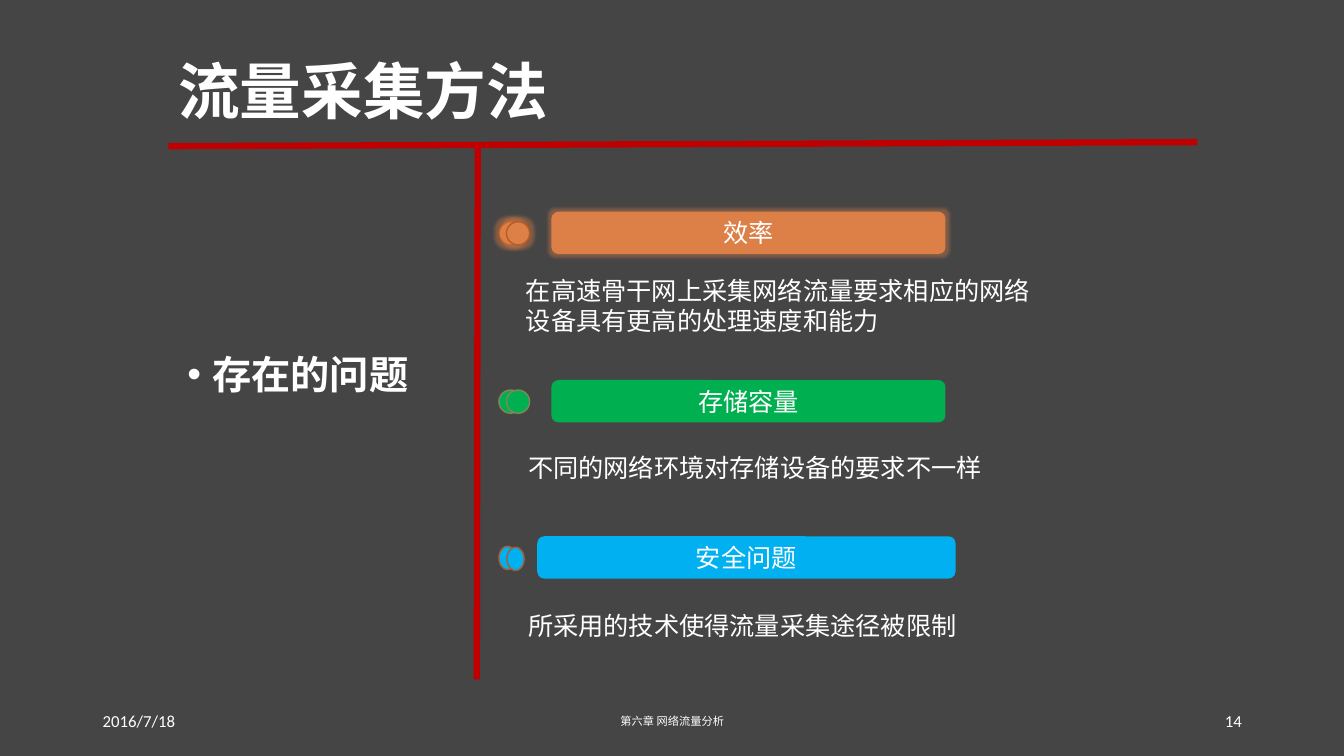
from dataclasses import dataclass

import lxml.etree
import pptx
import pptx.dml.color
import pptx.enum.shapes
import pptx.enum.text
import pptx.oxml.ns
import pptx.util

Pt = pptx.util.Pt
RGBColor = pptx.dml.color.RGBColor
Align = pptx.enum.text.PP_ALIGN
Anchor = pptx.enum.text.MSO_ANCHOR
Shape = pptx.enum.shapes.MSO_SHAPE
qn = pptx.oxml.ns.qn

BACKGROUND = RGBColor(0x45, 0x45, 0x45)
WHITE = RGBColor(0xFF, 0xFF, 0xFF)
RED = RGBColor(0xC0, 0x00, 0x00)
ORANGE = RGBColor(0xDD, 0x80, 0x47)
ORANGE_EDGE = RGBColor(0xB9, 0x5B, 0x22)
GREEN = RGBColor(0x00, 0xB0, 0x50)
GREEN_EDGE = RGBColor(0x81, 0x87, 0x5A)
BLUE = RGBColor(0x00, 0xB0, 0xF0)
BLUE_EDGE = RGBColor(0xA3, 0x5F, 0x35)

CHINESE = "Noto Sans CJK SC"
LATIN = "Calibri"
BAR_HEIGHT = 30.24
DOT_LEFT = 356.4
DOT_HEIGHT = 16.56
DOT_DROP = 7.2


@dataclass(frozen=True)
class Box:
    left: float
    top: float
    width: float
    height: float

    def lengths(self) -> tuple:
        return Pt(self.left), Pt(self.top), Pt(self.width), Pt(self.height)


@dataclass(frozen=True)
class Problem:
    heading: str
    detail: str
    bar_left: float
    bar_top: float
    bar_width: float
    dot_width: float
    dot_shift: tuple[float, float]
    fill: RGBColor
    edge: RGBColor
    detail_box: Box
    glows: bool = False


@dataclass(frozen=True)
class FooterPart:
    text: str
    box: Box
    size: float
    font: str
    align: Align


PROBLEMS = [
    Problem("效率", "在高速骨干网上采集网络流量要求相应的网络设备具有更高的处理速度和能力",
            393.84, 151.2, 281.52, 16.56, (5.4, 0), ORANGE, ORANGE_EDGE,
            Box(368.64, 192.96, 376.56, 51.12), glows=True),
    Problem("存储容量", "不同的网络环境对存储设备的要求不一样",
            393.84, 271.44, 281.52, 16.56, (5.4, 0), GREEN, GREEN_EDGE,
            Box(370.08, 319.68, 555.12, 28.8)),
    Problem("安全问题", "所采用的技术使得流量采集途径被限制",
            383.76, 383.04, 298.8, 12.24, (5.76, 0.72), BLUE, BLUE_EDGE,
            Box(370.08, 432.72, 359.28, 28.8)),
]

FOOTER = [
    FooterPart("2016/7/18", Box(66.24, 500.4, 216, 28.8), 12, LATIN, Align.LEFT),
    FooterPart("第六章 网络流量分析", Box(318.24, 500.4, 324, 28.8), 8, CHINESE, Align.CENTER),
    FooterPart("14", Box(678.24, 500.4, 216, 28.8), 12, LATIN, Align.RIGHT),
]


def write(frame, text: str, size: float, font: str = CHINESE, bold: bool = False,
          align: Align = Align.LEFT, anchor: Anchor = Anchor.MIDDLE):
    frame.text = text
    frame.word_wrap = True
    frame.vertical_anchor = anchor
    paragraph = frame.paragraphs[0]
    paragraph.alignment = align
    for run in paragraph.runs:
        run.font.size = Pt(size)
        run.font.bold = bold
        run.font.color.rgb = WHITE
        run.font.name = font
        east_asian = lxml.etree.SubElement(run._r.get_or_add_rPr(), qn("a:ea"))
        east_asian.set("typeface", font)
    return paragraph


def add_rule(slide, start: tuple[float, float], end: tuple[float, float]) -> None:
    rule = slide.shapes.add_connector(
        pptx.enum.shapes.MSO_CONNECTOR.STRAIGHT, *map(Pt, start + end))
    rule.line.color.rgb = RED
    rule.line.width = Pt(4.5)
    lxml.etree.SubElement(rule._element.spPr, qn("a:effectLst"))


def add_glow(shape, color: RGBColor) -> None:
    effects = shape._element.spPr.find(qn("a:effectLst"))
    glow = lxml.etree.SubElement(effects, qn("a:glow"), rad=str(Pt(5)))
    tint = lxml.etree.SubElement(glow, qn("a:srgbClr"), val=str(color))
    lxml.etree.SubElement(tint, qn("a:alpha"), val="40000")


def add_filled(group, preset: Shape, box: Box, problem: Problem):
    shape = group.shapes.add_shape(preset, *box.lengths())
    shape.shadow.inherit = False
    shape.fill.solid()
    shape.fill.fore_color.rgb = problem.fill
    if problem.glows:
        add_glow(shape, problem.fill)
    return shape


def add_problem(slide, problem: Problem) -> None:
    group = slide.shapes.add_group_shape()
    bar = add_filled(group, Shape.ROUNDED_RECTANGLE,
                     Box(problem.bar_left, problem.bar_top, problem.bar_width, BAR_HEIGHT),
                     problem)
    bar.line.fill.background()
    write(bar.text_frame, problem.heading, 18, align=Align.CENTER)
    for shift_x, shift_y in ((0, 0), problem.dot_shift):
        dot = add_filled(group, Shape.OVAL,
                         Box(DOT_LEFT + shift_x, problem.bar_top + DOT_DROP + shift_y,
                             problem.dot_width, DOT_HEIGHT), problem)
        dot.line.color.rgb = problem.edge
        dot.line.width = Pt(1)


def add_detail(slide, problem: Problem) -> None:
    detail = slide.shapes.add_textbox(*problem.detail_box.lengths()).text_frame
    write(detail, problem.detail, 18, anchor=Anchor.TOP)
    detail.auto_size = pptx.enum.text.MSO_AUTO_SIZE.SHAPE_TO_FIT_TEXT


def main() -> None:
    deck = pptx.Presentation()
    deck.slide_width, deck.slide_height = Pt(960), Pt(540)
    slide = deck.slides.add_slide(deck.slide_layouts[6])
    slide.background.fill.solid()
    slide.background.fill.fore_color.rgb = BACKGROUND

    # Red dividing rules
    add_rule(slide, (120.24, 104.4), (855.36, 101.52))
    add_rule(slide, (341.28, 104.4), (340.56, 485.28))

    # Title and topic
    title = slide.shapes.add_textbox(*Box(120.24, 15.12, 735.12, 104.4).lengths())
    write(title.text_frame, "流量采集方法", 44, bold=True).line_spacing = 0.9

    topic_box = slide.shapes.add_textbox(*Box(126.72, 229.68, 205.2, 365.04).lengths())
    topic = write(topic_box.text_frame, "存在的问题", 28, bold=True, anchor=Anchor.TOP)
    topic.line_spacing = 1.5
    topic.space_before = Pt(10)
    indents = topic._p.get_or_add_pPr()
    indents.set("marL", str(Pt(18)))
    indents.set("indent", str(Pt(-18)))
    lxml.etree.SubElement(indents, qn("a:buFont"), typeface="Arial")
    lxml.etree.SubElement(indents, qn("a:buChar"), char="•")

    # Three problems with their explanations
    for problem in PROBLEMS:
        add_problem(slide, problem)
        add_detail(slide, problem)

    # Footer
    for part in FOOTER:
        footer = slide.shapes.add_textbox(*part.box.lengths())
        write(footer.text_frame, part.text, part.size, part.font, align=part.align)

    deck.save("out.pptx")


if __name__ == "__main__":
    main()
